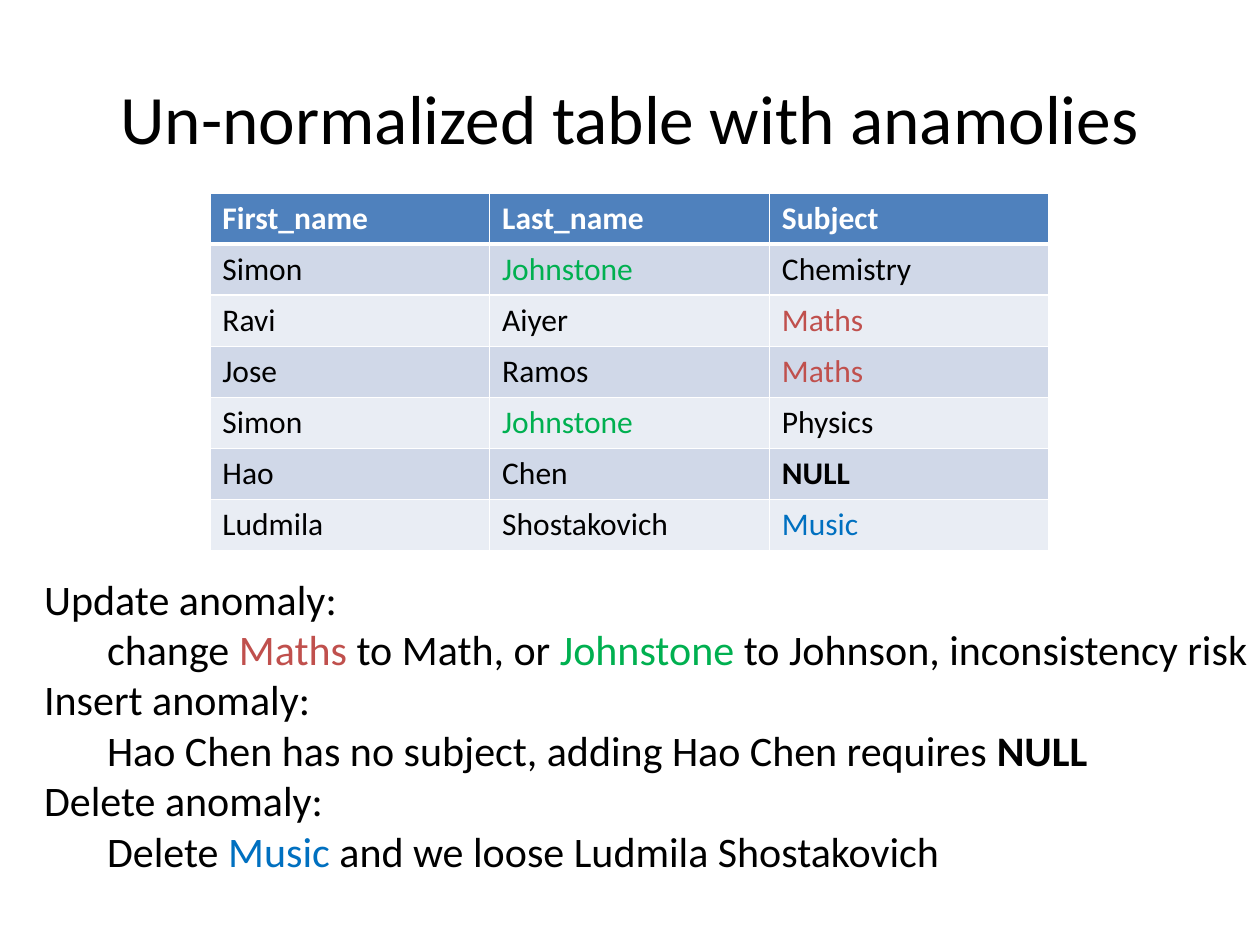
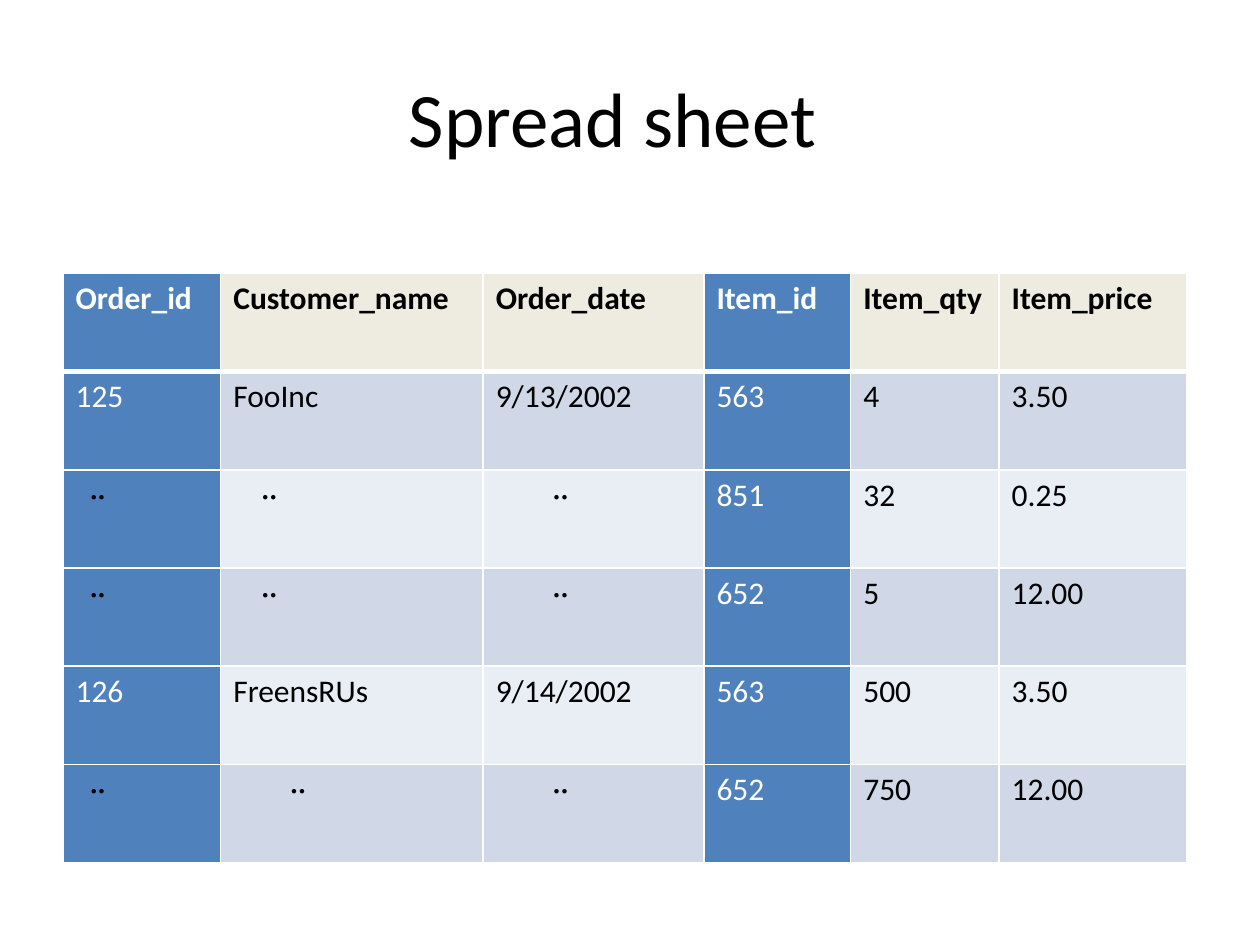
from dataclasses import dataclass

from lxml.etree import SubElement
from pptx import Presentation
from pptx.dml.color import RGBColor
from pptx.enum.text import MSO_ANCHOR, PP_ALIGN
from pptx.oxml.ns import qn
from pptx.util import Cm, Pt

FONT = "Calibri"
BLACK = RGBColor(0x00, 0x00, 0x00)
WHITE = RGBColor(0xFF, 0xFF, 0xFF)
HEADER_BLUE = RGBColor(0x4F, 0x81, 0xBD)
HEADER_BEIGE = RGBColor(0xEE, 0xEC, 0xE1)
BANDS = (RGBColor(0xD0, 0xD8, 0xE8), RGBColor(0xE9, 0xED, 0xF4))
ACCENTS = {
    "Maths": RGBColor(0xC0, 0x50, 0x4D),
    "Johnstone": RGBColor(0x00, 0xB0, 0x50),
    "Music": RGBColor(0x00, 0x70, 0xC0),
}
BOLD_WORDS = {"NULL"}
MARGIN = 0.25


@dataclass
class Ditto:
    """A repeat mark in a table cell, indented by some centimetres."""
    indent: float
    text: str = "··"


class Deck:
    """Holds the shared style and the slide being built."""

    def __init__(self):
        """Start a 4:3 presentation."""
        self.presentation = Presentation()
        self.presentation.slide_width = Cm(25.4)
        self.presentation.slide_height = Cm(19.05)
        self.slide = None

    def new_slide(self):
        """Add a blank slide and make it current."""
        self.slide = self.presentation.slides.add_slide(
            self.presentation.slide_layouts[6])

    def style(self, font, size, color=BLACK, bold=False):
        """Set every property of a font."""
        font.name = FONT
        font.size = Pt(size)
        font.color.rgb = color
        font.bold = bold

    def text_frame(self, left, top, width, height):
        """Add a wrapping text box and return its frame."""
        shape = self.slide.shapes.add_textbox(
            Cm(left), Cm(top), Cm(width), Cm(height))
        shape.text_frame.word_wrap = True
        return shape.text_frame

    def title(self, text, size, right_margin=MARGIN):
        """Add the centred slide title."""
        frame = self.text_frame(1.27, 0.76, 22.86, 3.18)
        frame.vertical_anchor = MSO_ANCHOR.MIDDLE
        frame.margin_right = Cm(right_margin)
        paragraph = frame.paragraphs[0]
        paragraph.text = text
        paragraph.alignment = PP_ALIGN.CENTER
        self.style(paragraph.font, size)

    def explanations(self, sections, left, top, width, height):
        """Add headings, each with an indented line of text pieces."""
        frame = self.text_frame(left, top, width, height)
        lines = [line for heading, pieces in sections
                 for line in ((0, [heading]), (1.27, pieces))]
        for index, (indent, pieces) in enumerate(lines):
            paragraph = frame.add_paragraph() if index else frame.paragraphs[0]
            paragraph._p.get_or_add_pPr().set("marL", str(Cm(indent)))
            for piece in pieces:
                run = paragraph.add_run()
                run.text = piece
                self.style(run.font, 24, ACCENTS.get(piece, BLACK),
                           piece in BOLD_WORDS)

    def borders(self, cell, row):
        """Draw white cell borders, thick below the header row."""
        properties = cell._tc.get_or_add_tcPr()
        widths = {"L": 1, "R": 1, "T": 3 if row == 1 else 1,
                  "B": 3 if row == 0 else 1}
        for side, width in widths.items():
            line = SubElement(properties, qn(f"a:ln{side}"), w=str(Pt(width)))
            fill = SubElement(line, qn("a:solidFill"))
            SubElement(fill, qn("a:srgbClr"), val=str(WHITE))

    def fill_cell(self, cell, value, row, is_header_blue, is_key):
        """Write one table cell with its fill and borders."""
        self.borders(cell, row)
        is_ditto = isinstance(value, Ditto)
        if is_ditto:
            cell.margin_left = Cm(MARGIN + value.indent)
            value = value.text
        if row == 0:
            fill = HEADER_BLUE if is_header_blue else HEADER_BEIGE
            color = WHITE if is_header_blue else BLACK
        else:
            fill = HEADER_BLUE if is_key else BANDS[(row - 1) % 2]
            color = WHITE if is_key and not is_ditto \
                else ACCENTS.get(value, BLACK)
        cell.fill.solid()
        cell.fill.fore_color.rgb = fill
        paragraph = cell.text_frame.paragraphs[0]
        paragraph.text = value
        self.style(paragraph.font, 18, color, row == 0 or value in BOLD_WORDS)

    def table(self, rows, left, top, column_widths, row_height, keys=()):
        """Add a banded table; key columns are blue all the way down."""
        shape = self.slide.shapes.add_table(
            len(rows), len(column_widths), Cm(left), Cm(top),
            Cm(sum(column_widths)), Cm(row_height * len(rows)))
        table = shape.table
        for column, width in zip(table.columns, column_widths):
            column.width = Cm(width)
        for row, values in enumerate(rows):
            table.rows[row].height = Cm(row_height)
            for column, value in enumerate(values):
                self.fill_cell(table.cell(row, column), value, row,
                               not keys or column in keys, column in keys)


def build_anomalies(deck):
    """Build the slide on update, insert and delete anomalies."""
    deck.new_slide()
    deck.title("Un-normalized table with anamolies", 39.6)
    deck.table([
        ("First_name", "Last_name", "Subject"),
        ("Simon", "Johnstone", "Chemistry"),
        ("Ravi", "Aiyer", "Maths"),
        ("Jose", "Ramos", "Maths"),
        ("Simon", "Johnstone", "Physics"),
        ("Hao", "Chen", "NULL"),
        ("Ludmila", "Shostakovich", "Music"),
    ], 4.23, 3.89, [5.64] * 3, 1.03)
    deck.explanations([
        ("Update anomaly:", ["change ", "Maths", " to Math, or ", "Johnstone",
                             " to Johnson, inconsistency risk"]),
        ("Insert anomaly:",
         ["Hao Chen has no subject, adding Hao Chen requires ", "NULL"]),
        ("Delete anomaly:",
         ["Delete ", "Music", " and we loose Ludmila Shostakovich"]),
    ], 0.64, 11.43, 30.02, 7.19)


def build_spread_sheet(deck):
    """Build the slide with the order table."""
    near, middle, far = Ditto(0.29), Ditto(0.57), Ditto(1.15)
    deck.new_slide()
    deck.title("Spread sheet", 44, right_margin=0.95)
    deck.table([
        ("Order_id", "Customer_name", "Order_date",
         "Item_id", "Item_qty", "Item_price"),
        ("125", "FooInc", "9/13/2002", "563", "4", "3.50"),
        (near, middle, far, "851", "32", "0.25"),
        (near, middle, far, "652", "5", "12.00"),
        ("126", "FreensRUs", "9/14/2002", "563", "500", "3.50"),
        (near, far, far, "652", "750", "12.00"),
    ], 1.27, 5.51, [3.18, 5.29, 4.45, 2.96, 2.99, 3.79], 1.98, keys=(0, 3))


deck = Deck()
build_anomalies(deck)
build_spread_sheet(deck)
deck.presentation.save("out.pptx")
